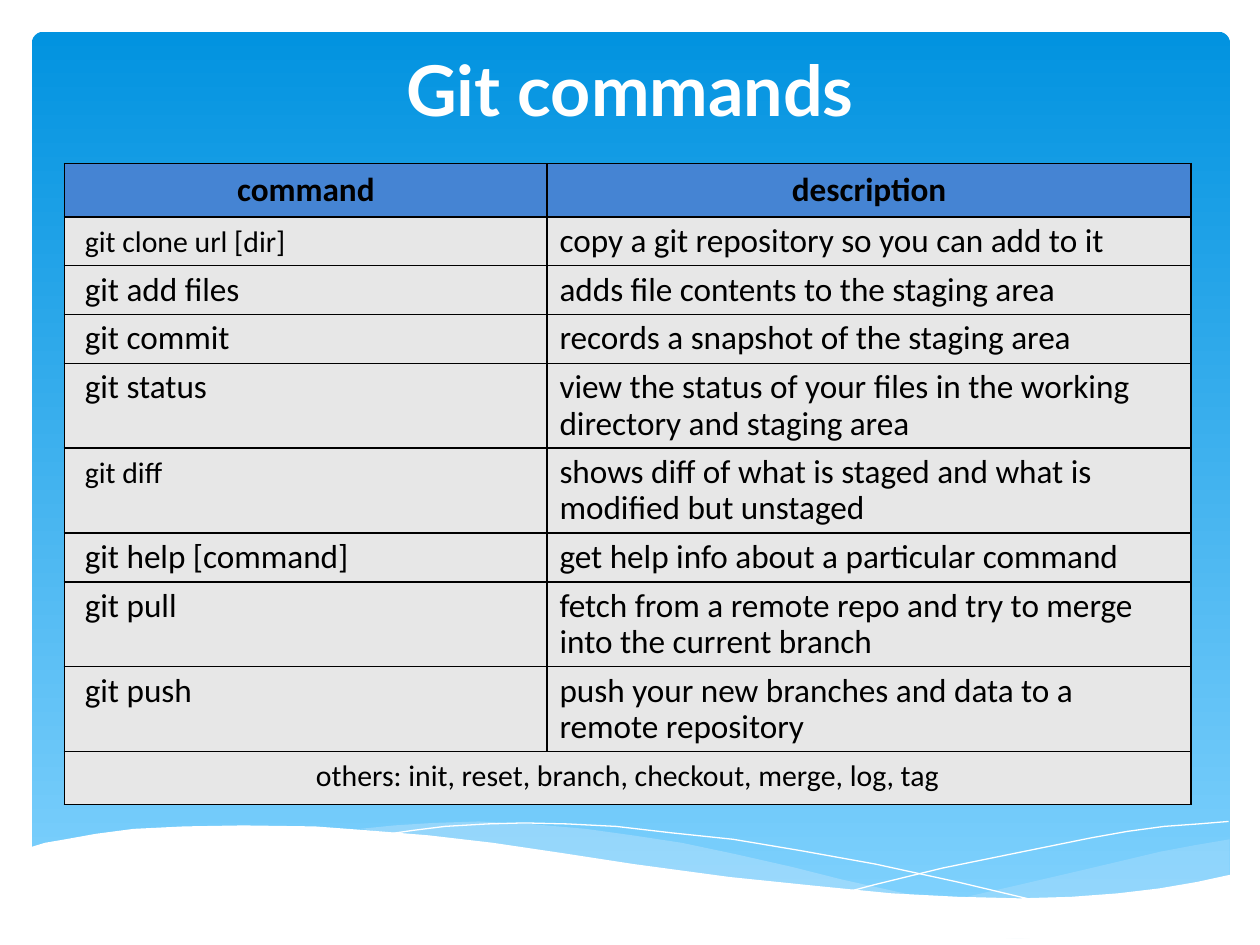
"""Build the Git commands slide with its wave backdrop and command table."""
from lxml.etree import SubElement
from pptx import Presentation
from pptx.dml.color import RGBColor
from pptx.enum.shapes import MSO_SHAPE as Shape
from pptx.enum.text import MSO_ANCHOR as Anchor, PP_ALIGN as Align
from pptx.oxml import parse_xml
from pptx.oxml.ns import nsdecls, qn
from pptx.util import Cm, Pt


def color(value):
    return RGBColor.from_string(value)


def add_wave(points, closed):
    start, *rest = [(x * 100, y * 100) for x, y in points]
    builder = page.shapes.build_freeform(*start, scale=Cm(0.01))
    builder.add_line_segments(rest, close=closed)
    wave = builder.convert_to_shape()
    wave.shadow.inherit = False
    return wave


deck = Presentation()
deck.slide_width, deck.slide_height = Cm(25.4), Cm(19.05)
page = deck.slides.add_slide(deck.slide_layouts[6])

backdrop = page.shapes.add_shape(Shape.ROUNDED_RECTANGLE, Cm(0.64), Cm(0.64), Cm(24.16), Cm(18.19))
backdrop.adjustments[0] = 0.013
backdrop.shadow.inherit = False
backdrop.line.fill.background()
backdrop.fill.gradient()
backdrop.fill.gradient_angle = 270
for stop, position, shade in zip(backdrop.fill.gradient_stops, (0, 1), ("0293E0", "83D3FE")):
    stop.position = position
    stop.color.rgb = color(shade)

right_wave = [
    (24.79, 16.92), (24.08, 17.04), (23.39, 17.17), (22.63, 17.35), (21.87, 17.53), (20.45, 17.86),
    (19.13, 18.16), (17.93, 18.39), (16.79, 18.59), (17.55, 18.69), (18.59, 18.82), (19.53, 18.87),
    (20.68, 18.9), (21.69, 18.87), (22.58, 18.75), (23.39, 18.59), (24.1, 18.39), (24.79, 18.14),
]
middle_wave = [
    (7.26, 16.71), (8.2, 16.84), (9.19, 16.99), (10.26, 17.22), (11.4, 17.48), (12.47, 17.73),
    (13.46, 17.96), (14.83, 18.26), (16.1, 18.49), (17.65, 18.72), (19, 18.85), (20.5, 18.92),
    (21.77, 18.87), (22.68, 18.77), (22, 18.69), (20.5, 18.47), (18.82, 18.14), (16.97, 17.73),
    (15.98, 17.48), (14.83, 17.22), (13.74, 16.99), (12.75, 16.84), (11.81, 16.71), (10.67, 16.61),
    (9.65, 16.56), (8.74, 16.59), (7.95, 16.64),
]
falling_line = [
    (7.85, 16.81), (8.33, 16.74), (8.97, 16.66), (9.83, 16.61), (10.57, 16.59), (11.43, 16.61),
    (12.42, 16.66), (13.54, 16.79), (14.78, 16.92), (16.15, 17.15), (17.65, 17.42), (19.3, 17.78),
    (21.11, 18.21), (23.04, 18.75),
]
rising_line = [
    (15.57, 18.36), (16.59, 18.11), (17.65, 17.83), (19, 17.5), (20.47, 17.2), (22, 16.89),
    (22.73, 16.76), (23.47, 16.66), (24.16, 16.61), (24.77, 16.56),
]
front_wave = [
    (24.82, 17.63), (24.13, 17.78), (23.37, 17.91), (22.53, 18.01), (21.59, 18.08), (20.55, 18.11),
    (19.33, 18.08), (17.98, 18.01), (16.46, 17.86), (14.71, 17.68), (12.78, 17.42), (11.35, 17.2),
    (9.93, 16.99), (8.64, 16.84), (7.42, 16.74), (6.35, 16.66), (4.9, 16.64), (3.71, 16.66),
    (2.69, 16.71), (1.93, 16.81), (1.32, 16.92), (0.91, 16.99), (0.58, 17.09), (0.58, 18.92),
    (24.82, 18.92),
]

for points, shade, opacity in (
    (right_wave, "C6E7FC", 29), (middle_wave, "C6E7FC", 40),
    (falling_line, "FFFFFF", None), (rising_line, "FFFFFF", None), (front_wave, "FFFFFF", 100),
):
    wave = add_wave(points, closed=opacity is not None)
    if opacity is None:
        wave.fill.background()
        wave.line.color.rgb = color(shade)
        wave.line.width = Pt(0)
        continue
    wave.line.fill.background()
    wave.fill.solid()
    wave.fill.fore_color.rgb = color(shade)
    if opacity < 100:
        tint = wave.fill._xPr.find(".//" + qn("a:srgbClr"))
        SubElement(tint, qn("a:alpha"), val=str(opacity * 1000))

title = page.shapes.add_textbox(Cm(1.27), Cm(0.05), Cm(22.86), Cm(3.48))
title.text_frame.word_wrap = True
title.text_frame.vertical_anchor = Anchor.MIDDLE
title.text_frame.text = "Git commands"
para = title.text_frame.paragraphs[0]
para.alignment = Align.CENTER
span = para.runs[0]
span.font.name, span.font.size, span.font.bold = "Lato", Pt(40), True
span.font.color.rgb = color("FFFFFF")

short, tall, edge = 0.97, 1.71, 1.07
rows = [
    (edge, "command", "description"),
    (short, "git clone url [dir]", "copy a git repository so you can add to it"),
    (short, "git add files", "adds file contents to the staging area"),
    (short, "git commit", "records a snapshot of the staging area"),
    (tall, "git status", "view the status of your files in the working directory and staging area"),
    (tall, "git diff", "shows diff of what is staged and what is modified but unstaged"),
    (short, "git help [command]", "get help info about a particular command"),
    (tall, "git pull", "fetch from a remote repo and try to merge into the current branch"),
    (tall, "git push", "push your new branches and data to a remote repository"),
    (edge, "others: init, reset, branch, checkout, merge, log, tag", ""),
]
small_texts = {"git clone url [dir]", "git diff", rows[-1][1]}
last = len(rows) - 1

height = sum(row[0] for row in rows)
table = page.shapes.add_table(len(rows), 2, Cm(1.3), Cm(3.3), Cm(22.71), Cm(height)).table
table.first_row = table.horz_banding = False
for column, width in zip(table.columns, (9.73, 12.98)):
    column.width = Cm(width)
table.cell(last, 0).merge(table.cell(last, 1))

for row_index, (row_height, *texts) in enumerate(rows):
    table.rows[row_index].height = Cm(row_height)
    is_body = 0 < row_index < last
    for column_index, text in enumerate(texts):
        cell = table.cell(row_index, column_index)
        is_small = text in small_texts
        cell.margin_left = Cm(0.41 if is_body and column_index == 0 else 0.25)
        cell.margin_right = Cm(0.25)
        cell.margin_top = Cm(0.19 if is_small and is_body else 0.13)
        cell.margin_bottom = Cm(0.13)
        cell.fill.solid()
        cell.fill.fore_color.rgb = color("E7E7E7" if row_index else "4584D3")
        for order, side in enumerate(("lnL", "lnR", "lnT", "lnB")):
            border = parse_xml(
                f'<a:{side} {nsdecls("a")} w="12700"><a:solidFill>'
                f'<a:srgbClr val="000000"/></a:solidFill></a:{side}>'
            )
            cell._tc.get_or_add_tcPr().insert(order, border)
        if not text:
            continue
        cell.text_frame.text = text
        para = cell.text_frame.paragraphs[0]
        if is_body:
            para.line_spacing = 0.9
        else:
            para.alignment = Align.CENTER
        span = para.runs[0]
        span.font.name = "Calibri"
        span.font.size = Pt(17 if is_small else 19)
        span.font.bold = row_index == 0
        span.font.color.rgb = color("000000")

deck.save("out.pptx")
